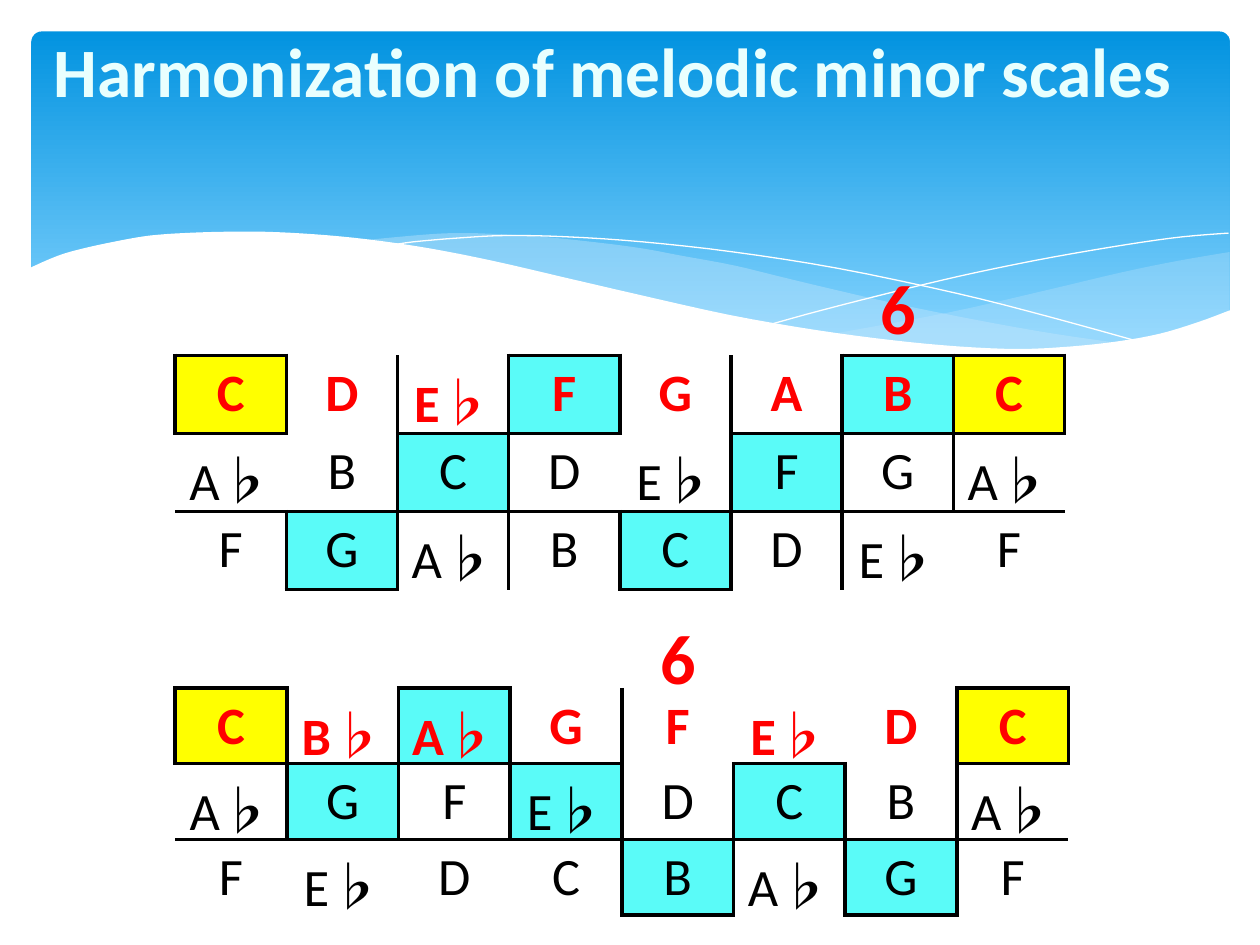
from lxml import etree
from pptx import Presentation
from pptx.dml.color import RGBColor
from pptx.enum import shapes, text
from pptx.oxml import ns
from pptx.util import Inches, Pt

COLORS = {"sky": "0293E0", "pale_sky": "83D3FE", "mist": "C6E7FC", "white": "FFFFFF",
          "title": "E9FFFE", "red": "FF0000", "black": "000000",
          "yellow": "FFFF00", "cyan": "5AFBF8"}
LATIN, MUSIC = "Calibri", "Noto Sans CJK JP"

TITLE = "Harmonization of melodic minor scales"
SIXTHS = [(6.89, 2.05), (5.14, 4.83)]

SCALES = [
    {"at": (1.39, 2.82), "size": (7.06, 1.85), "row": 0.62,
     "notes": ["C D E♭ F G A B C", "A♭ B C D E♭ F G A♭", "F G A♭ B C D E♭ F"],
     "cyan": {(0, 3), (0, 6), (1, 2), (1, 5), (2, 1), (2, 4)},
     "rights": [(0, 1), (0, 4), (1, 6), (2, 2), (2, 5)]},
    {"at": (1.39, 5.46), "size": (7.09, 1.8), "row": 0.41,
     "notes": ["C B♭ A♭ G F E♭ D C", "A♭ G F E♭ D C B A♭", "F E♭ D C B A♭ G F"],
     "cyan": {(0, 2), (1, 1), (1, 3), (1, 5), (2, 4), (2, 6)},
     "rights": [(0, 3), (1, 6)]},
]
YELLOW = {(0, 0), (0, 7)}

RIGHT_BAND = [
    [(9.76, 2), (9.35, 2.07), (8.91, 2.16), (8.32, 2.3), (7.53, 2.48), (6.61, 2.65)],
    [(6.61, 2.65), (7.05, 2.71), (7.45, 2.75), (7.81, 2.77), (8.14, 2.78), (8.54, 2.76),
     (8.89, 2.72), (9.21, 2.65), (9.49, 2.57), (9.76, 2.47)],
]
LEFT_BAND = [
    [(8.93, 2.73), (8.37, 2.65), (7.75, 2.54), (7.06, 2.4), (6.29, 2.22), (5.84, 2.11),
     (5.41, 2.03), (5.02, 1.96), (4.42, 1.89), (3.99, 1.86), (3.61, 1.85), (3.28, 1.87),
     (2.86, 1.91)],
    [(2.86, 1.91), (3.42, 1.99), (4.04, 2.11), (4.49, 2.22), (5.3, 2.4), (6.01, 2.55),
     (6.65, 2.66), (7.22, 2.74), (7.73, 2.77), (8.18, 2.78), (8.57, 2.77), (8.93, 2.73)],
]
FALLING_LINE = [[(3.09, 1.95), (3.28, 1.92), (3.63, 1.89), (4.01, 1.87), (4.5, 1.88),
                 (5.1, 1.92), (5.82, 2), (6.65, 2.13), (7.6, 2.33), (8.31, 2.51),
                 (9.07, 2.72)]]
RISING_LINE = [[(6.13, 2.57), (6.53, 2.46), (7.2, 2.29), (7.76, 2.16), (8.36, 2.04),
                (8.95, 1.94), (9.38, 1.88), (9.75, 1.85)]]
WAVE = [
    [(9.77, 2.46), (9.5, 2.56), (9.2, 2.65), (8.87, 2.71), (8.5, 2.75), (8.09, 2.77),
     (7.61, 2.75), (7.08, 2.7), (6.48, 2.62), (5.79, 2.5), (5.03, 2.33), (4.47, 2.2),
     (3.91, 2.07), (3.4, 1.97), (2.92, 1.9), (2.5, 1.86), (2.11, 1.84), (1.77, 1.84),
     (1.46, 1.85), (1.19, 1.87), (0.95, 1.91), (0.67, 1.97), (0.46, 2.03), (0.23, 2.13)],
    [(0.23, 3.29), (9.77, 3.29)],
]
SWOOSHES = [(RIGHT_BAND, "mist", 29), (LEFT_BAND, "mist", 40),
            (FALLING_LINE, None, 0), (RISING_LINE, None, 0), (WAVE, "white", 100)]


def rgb(color):
    return RGBColor.from_string(COLORS[color])


def smooth(knots, steps=4):
    if len(knots) < 3:
        return knots
    padded = [knots[0], *knots, knots[-1]]
    curve = [knots[0]]
    for a, b, c, d in zip(padded, padded[1:], padded[2:], padded[3:]):
        for step in range(1, steps + 1):
            t = step / steps
            curve.append(tuple(
                q + t / 2 * (r - p + t * (2 * p - 5 * q + 4 * r - s + t * (3 * (q - r) + s - p)))
                for p, q, r, s in zip(a, b, c, d)))
    return curve


def add_run(paragraph, words, size, color, bold=True, font=LATIN):
    run = paragraph.add_run()
    run.text = words
    run.font.size, run.font.bold, run.font.name = Pt(size), bold, font
    run.font.color.rgb = rgb(color)
    if font == MUSIC:
        etree.SubElement(run.font._element, ns.qn("a:ea"), typeface=font)


def add_swoosh(slide, curves, color, opacity):
    points = [(Inches(x), Inches(y)) for curve in curves for x, y in smooth(curve)]
    builder = slide.shapes.build_freeform(*points[0])
    builder.add_line_segments(points[1:], close=color is not None)
    swoosh = builder.convert_to_shape()
    swoosh.shadow.inherit = False
    if color is None:
        swoosh.fill.background()
        swoosh.line.color.rgb = rgb("white")
        swoosh.line.width = Pt(0)
        return
    swoosh.line.fill.background()
    swoosh.fill.solid()
    swoosh.fill.fore_color.rgb = rgb(color)
    if opacity < 100:
        tint = swoosh._element.spPr.find(".//" + ns.qn("a:srgbClr"))
        etree.SubElement(tint, ns.qn("a:alpha"), val=str(opacity * 1000))


def add_label(slide, at, size, words, points, color, anchor):
    box = slide.shapes.add_textbox(*map(Inches, at + size))
    box.text_frame.word_wrap = True
    box.text_frame.vertical_anchor = anchor
    add_run(box.text_frame.paragraphs[0], words, points, color)


def ruled_edges(scale):
    edges = {(r, c, side) for r, c in scale["cyan"] | YELLOW for side in "LRTB"}
    edges |= {(1, c, "B") for c in range(8)}
    edges |= {(r, c, "R") for r, c in scale["rights"]}
    facing = {"L": (0, -1, "R"), "R": (0, 1, "L"), "T": (-1, 0, "B"), "B": (1, 0, "T")}
    for r, c, side in list(edges):
        down, across, opposite = facing[side]
        edges.add((r + down, c + across, opposite))
    return edges


def set_borders(cell, ruled):
    properties = cell._tc.get_or_add_tcPr()
    for position, side in enumerate("LRTB"):
        border = etree.Element(ns.qn("a:ln" + side), w=str(Pt(2.25)))
        if side in ruled:
            paint = etree.SubElement(border, ns.qn("a:solidFill"))
            etree.SubElement(paint, ns.qn("a:srgbClr"), val=COLORS["black"])
        else:
            etree.SubElement(border, ns.qn("a:noFill"))
        properties.insert(position, border)


def add_scale(slide, scale):
    frame = slide.shapes.add_table(3, 8, *map(Inches, scale["at"] + scale["size"]))
    grid = frame.table
    grid.first_row = grid.horz_banding = False
    edges = ruled_edges(scale)
    for r, notes in enumerate(scale["notes"]):
        grid.rows[r].height = Inches(scale["row"])
        for c, note in enumerate(notes.split()):
            cell = grid.cell(r, c)
            if (r, c) in scale["cyan"] | YELLOW:
                cell.fill.solid()
                cell.fill.fore_color.rgb = rgb("yellow" if (r, c) in YELLOW else "cyan")
            else:
                cell.fill.background()
            set_borders(cell, [side for side in "LRTB" if (r, c, side) in edges])
            paragraph = cell.text_frame.paragraphs[0]
            paragraph.alignment = text.PP_ALIGN.CENTER
            color = "black" if r else "red"
            add_run(paragraph, note[0], 30, color, r == 0)
            if note[1:]:
                add_run(paragraph, note[1:], 30, color, True, MUSIC)
    frame.height = Inches(scale["size"][1])


deck = Presentation()
deck.slide_width, deck.slide_height = Inches(10), Inches(7.5)
slide = deck.slides.add_slide(deck.slide_layouts[6])

banner = slide.shapes.add_shape(shapes.MSO_SHAPE.ROUNDED_RECTANGLE,
                                *map(Inches, (0.25, 0.25, 9.51, 2.7)))
banner.adjustments[0] = 0.03
banner.shadow.inherit = False
banner.line.fill.background()
banner.fill.gradient()
banner.fill.gradient_angle = 270
for stop, color, position in zip(banner.fill.gradient_stops, ("sky", "pale_sky"), (0, 0.9)):
    stop.color.rgb = rgb(color)
    stop.position = position

for curves, color, opacity in SWOOSHES:
    add_swoosh(slide, curves, color, opacity)
add_label(slide, (0.33, 0.29), (9.77, 0.53), TITLE, 39.6, "title", text.MSO_ANCHOR.MIDDLE)
for scale in SCALES:
    add_scale(slide, scale)
for at in SIXTHS:
    add_label(slide, at, (0.41, 0.77), "6", 40, "red", text.MSO_ANCHOR.TOP)

deck.save("out.pptx")
